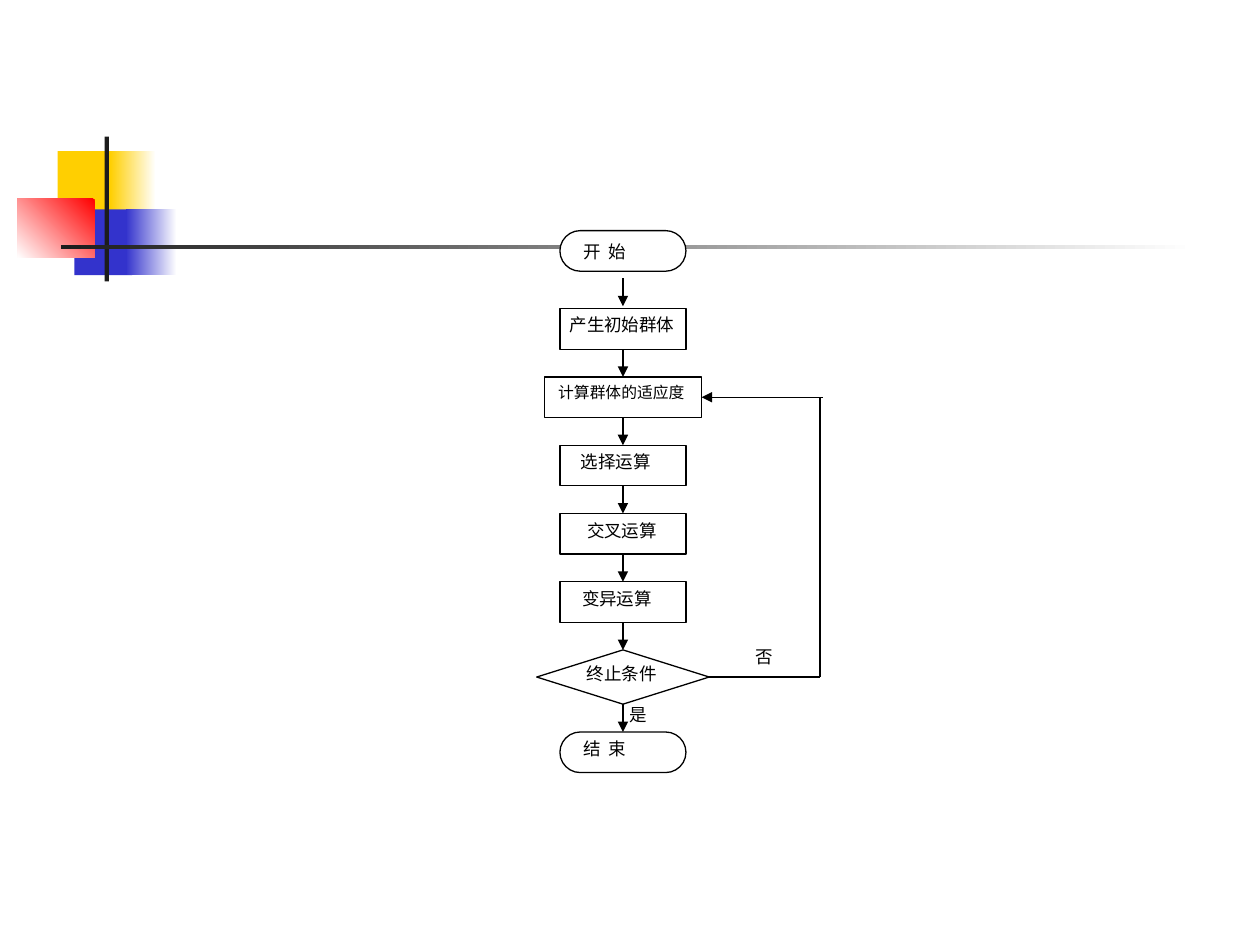
from dataclasses import dataclass
from itertools import pairwise
from typing import Optional

import pptx
import pptx.dml.color
import pptx.enum.shapes
import pptx.enum.text
import pptx.oxml
import pptx.oxml.ns
import pptx.util
from pptx.shapes.autoshape import Shape
from pptx.shapes.connector import Connector
from pptx.slide import Slide

Pt = pptx.util.Pt
Kind = pptx.enum.shapes.MSO_SHAPE
TOP, BOTTOM, RIGHT = 0, 2, 3


@dataclass(frozen=True)
class Theme:
    font: str = "Times New Roman"
    body: float = 10
    small: float = 9
    thin: float = 0.75
    thick: float = 1.25
    ink: str = "000000"
    paper: str = "FFFFFF"
    yellow: str = "FFCF01"
    blue: str = "3333CC"
    red: str = "FF0000"
    charcoal: str = "1C1C1C"


THEME = Theme()


@dataclass(frozen=True)
class Block:
    left: float
    top: float
    width: float
    height: float
    color: str
    fade_to: Optional[str] = None
    angle: float = 180


@dataclass(frozen=True)
class Step:
    text: str
    top: float
    indent: float
    inset_top: float = 3.6
    width: float = 72
    height: float = 23.2
    kind: Kind = Kind.FLOWCHART_PROCESS
    size: float = THEME.body


@dataclass(frozen=True)
class Label:
    text: str
    left: float
    top: float


BLOCKS = [
    Block(33, 86.4, 35, 37.5, THEME.yellow),
    Block(63, 86.4, 26, 37.5, THEME.paper, THEME.yellow),
    Block(42.5, 119.7, 33, 37.5, THEME.blue),
    Block(72, 119.7, 29, 37.5, THEME.paper, THEME.blue),
    Block(9.9, 113.7, 44.2, 33.5, THEME.red, THEME.paper, 225),
    Block(59.8, 78, 2.5, 82.8, THEME.charcoal),
    Block(34.7, 140, 648, 2.6, THEME.paper, THEME.charcoal),
]

AXIS = 356
FIRST_TOP = 176.4
PITCH = 39
RETURN_X = 468.7

START = Step("开  始", 131.8, 10, 2.4, kind=Kind.FLOWCHART_TERMINATOR)
STEPS = [
    Step("产生初始群体", FIRST_TOP, 5.5, 2.9),
    Step("计算群体的适应度", FIRST_TOP + PITCH, 8, width=90, size=THEME.small),
    Step("选择运算", FIRST_TOP + 2 * PITCH, 12),
    Step("交叉运算", FIRST_TOP + 3 * PITCH, 15.5),
    Step("变异运算", FIRST_TOP + 4 * PITCH, 12.6),
    Step("终止条件", FIRST_TOP + 5 * PITCH, 4, 0, 98.6, 31, Kind.FLOWCHART_DECISION),
    Step("结  束", 418.3, 10, 0, kind=Kind.FLOWCHART_TERMINATOR),
]
LABELS = [Label("是", 360, 402.5), Label("否", 432, 369.4)]


def rgb(value: str) -> pptx.dml.color.RGBColor:
    return pptx.dml.color.RGBColor.from_string(value)


def draw_block(page: Slide, block: Block) -> None:
    box = page.shapes.add_shape(
        Kind.RECTANGLE, Pt(block.left), Pt(block.top), Pt(block.width), Pt(block.height)
    )
    box.shadow.inherit = False
    box.line.fill.background()
    if block.fade_to is None:
        box.fill.solid()
        box.fill.fore_color.rgb = rgb(block.color)
        return
    box.fill.gradient()
    box.fill.gradient_angle = block.angle
    for stop, color in zip(box.fill.gradient_stops, (block.color, block.fade_to)):
        stop.color.rgb = rgb(color)


def write(box: Shape, text: str, size: float, left: float = 0, top: float = 0) -> None:
    frame = box.text_frame
    frame.word_wrap = True
    frame.vertical_anchor = pptx.enum.text.MSO_ANCHOR.TOP
    frame.margin_left, frame.margin_top = Pt(left), Pt(top)
    frame.margin_right = frame.margin_bottom = 0
    para = frame.paragraphs[0]
    para.text = text
    para.alignment = pptx.enum.text.PP_ALIGN.LEFT
    para.font.name = THEME.font
    para.font.size = Pt(size)
    para.font.color.rgb = rgb(THEME.ink)


def draw_step(page: Slide, step: Step) -> Shape:
    box = page.shapes.add_shape(
        step.kind, Pt(AXIS - step.width / 2), Pt(step.top), Pt(step.width), Pt(step.height)
    )
    box.shadow.inherit = False
    box.fill.solid()
    box.fill.fore_color.rgb = rgb(THEME.paper)
    box.line.color.rgb = rgb(THEME.ink)
    box.line.width = Pt(THEME.thin)
    write(box, step.text, step.size, step.indent, step.inset_top)
    return box


def draw_label(page: Slide, label: Label) -> None:
    box = page.shapes.add_textbox(Pt(label.left), Pt(label.top), Pt(20), Pt(16))
    write(box, label.text, THEME.body)


def draw_line(
    page: Slide,
    start: tuple[float, float],
    end: tuple[float, float],
    width: float = THEME.thin,
    arrow: bool = False,
) -> Connector:
    line = page.shapes.add_connector(
        pptx.enum.shapes.MSO_CONNECTOR.STRAIGHT, *map(Pt, start), *map(Pt, end)
    )
    line.line.color.rgb = rgb(THEME.ink)
    line.line.width = Pt(width)
    if arrow:
        head = pptx.oxml.parse_xml(
            f'<a:tailEnd {pptx.oxml.ns.nsdecls("a")} type="triangle"/>'
        )
        line.line._get_or_add_ln().append(head)
    effects = pptx.oxml.parse_xml(f'<a:effectLst {pptx.oxml.ns.nsdecls("a")}/>')
    line._element.spPr.append(effects)
    return line


def draw_feedback(page: Slide, fitness: Shape, decision: Shape) -> None:
    high = (fitness.top + fitness.height / 2) / Pt(1)
    low = (decision.top + decision.height / 2) / Pt(1)
    out = draw_line(page, (AXIS, low), (RETURN_X, low), THEME.thick)
    out.begin_connect(decision, RIGHT)
    draw_line(page, (RETURN_X, low), (RETURN_X, high), THEME.thick)
    back = draw_line(page, (RETURN_X + 1.5, high), (AXIS, high), arrow=True)
    back.end_connect(fitness, RIGHT)


def main() -> None:
    deck = pptx.Presentation()
    deck.slide_width, deck.slide_height = Pt(720), Pt(540)
    page = deck.slides.add_slide(deck.slide_layouts[6])
    for block in BLOCKS:
        draw_block(page, block)
    draw_step(page, START)
    draw_line(page, (AXIS, 159.1), (AXIS, 175), arrow=True)
    boxes = [draw_step(page, step) for step in STEPS]
    for upper, lower in pairwise(boxes):
        arrow = draw_line(page, (AXIS, 0), (AXIS, 0), arrow=True)
        arrow.begin_connect(upper, BOTTOM)
        arrow.end_connect(lower, TOP)
    draw_feedback(page, boxes[1], boxes[5])
    for label in LABELS:
        draw_label(page, label)
    deck.save("out.pptx")


if __name__ == "__main__":
    main()
